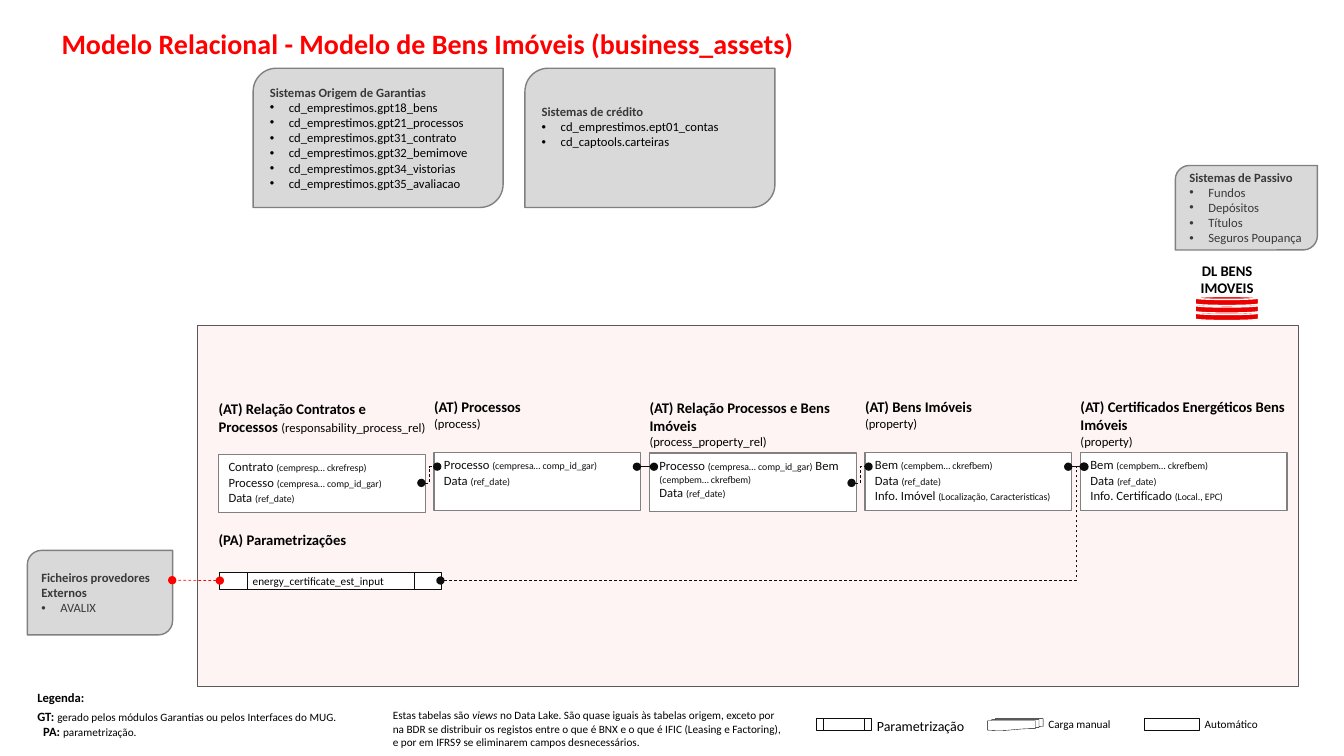
from pptx import Presentation
from pptx.dml.color import RGBColor
from pptx.enum.dml import MSO_LINE
from pptx.enum.shapes import MSO_CONNECTOR, MSO_SHAPE
from pptx.enum.text import MSO_ANCHOR, PP_ALIGN
from pptx.oxml.ns import qn
from pptx.util import Cm, Pt
from lxml import etree

RECT = MSO_SHAPE.RECTANGLE
CARD = MSO_SHAPE.ROUND_2_DIAG_RECTANGLE
PARAM = MSO_SHAPE.FLOWCHART_PREDEFINED_PROCESS
DOCS = MSO_SHAPE.FLOWCHART_MULTIDOCUMENT
DISK = MSO_SHAPE.FLOWCHART_MAGNETIC_DISK
ELBOW, LINE = MSO_CONNECTOR.ELBOW, MSO_CONNECTOR.STRAIGHT
LEFT, CENTER = PP_ALIGN.LEFT, PP_ALIGN.CENTER
TOP, MIDDLE = MSO_ANCHOR.TOP, MSO_ANCHOR.MIDDLE
DASH = MSO_LINE.DASH
FONT = "Calibri"
HUES = {"red": "FF0000", "disk": "EB0000", "pink": "FFC8C8", "white": "FFFFFF",
        "black": "000000", "ink": "0D0D0D", "text": "3B3838", "edge": "595959",
        "gray": "808080", "card": "D9D9D9"}
HUES = {name: RGBColor.from_string(code) for name, code in HUES.items()}

deck = Presentation()
deck.slide_width, deck.slide_height = Cm(33.87), Cm(19.05)
slide = deck.slides.add_slide(deck.slide_layouts[5])
shapes = slide.shapes


def draw(kind, x, y, w, h, fill=None, line="ink", width=0.5):
    """Add a preset shape, or a text box when kind is None."""
    place = Cm(x), Cm(y), Cm(w), Cm(h)
    if kind is None:
        return shapes.add_textbox(*place)
    shape = shapes.add_shape(kind, *place)
    shape.shadow.inherit = False
    if fill:
        shape.fill.solid()
        shape.fill.fore_color.rgb = HUES[fill]
    else:
        shape.fill.background()
    shape.line.color.rgb = HUES[line]
    shape.line.width = Pt(width)
    return shape


def write(shape, paras, hue="black", align=LEFT, anchor=TOP, sides=(0.25, 0.25)):
    """Fill a shape with paragraphs made of (text, size, bold) runs."""
    frame = shape.text_frame
    frame.word_wrap = True
    frame.vertical_anchor = anchor
    frame.margin_left, frame.margin_right = Cm(sides[0]), Cm(sides[1])
    for i, parts in enumerate(paras):
        para = frame.add_paragraph() if i else frame.paragraphs[0]
        para.alignment = align
        for text, size, bold in parts:
            run = para.add_run()
            run.text = text
            run.font.name, run.font.size, run.font.bold = FONT, Pt(size), bold
            run.font.color.rgb = HUES[hue]
    return frame


# Title
title = shapes.title
title.left, title.top, title.width, title.height = Cm(1.3), Cm(0.64), Cm(31.98), Cm(0.84)
head = "Modelo Relacional - Modelo de Bens Imóveis (business_assets)"
frame = write(title, [[(head, 20, True)]], "red")
frame.paragraphs[0].line_spacing = 0.9

# Legend notes
write(draw(None, 0.69, 17.27, 2.26, 0.64), [[("Legenda:", 9, True)]])
frame = write(draw(None, 0.69, 17.73, 8.48, 1.02), [
    [("GT: ", 9, True), ("gerado pelos módulos Garantias ou pelos Interfaces do MUG.", 8, False)],
    [("PA: ", 9, True), ("parametrização.", 8, False)]])
frame.paragraphs[1]._p.get_or_add_pPr().set("marL", str(Cm(0.15)))
frame = write(draw(None, 9.65, 17.73, 10.36, 1.27), [[
    ("Estas tabelas são ", 8, False), ("views", 8, False),
    (" no Data Lake. São quase iguais às tabelas origem, exceto por na BDR se "
     "distribuir os registos entre o que é BNX e o que é IFIC (Leasing e Factoring), "
     "e por em IFRS9 se eliminarem campos desnecessários.", 8, False)]])
frame.paragraphs[0].runs[1].font.italic = True

# Legend keys
for kind, x, fill, line, width, label, size, span in [
        (PARAM, 20.57, "white", "ink", 0.5, "Parametrização", 10, 2.54),
        (DOCS, 24.89, None, "black", 0.25, "Carga manual", 8, 2.31),
        (RECT, 28.83, "white", "ink", 0.5, "Automático", 8, 2.03)]:
    draw(kind, x, 18.11, 1.4, 0.3, fill, line, width)
    write(draw(None, x + 1.43, 17.96, span, 0.61), [[(label, size, False)]], sides=(0.1, 0.1))

# Data lake panel
panel = draw(RECT, 4.98, 8.2, 27.74, 9.09, "pink", "edge")
tint = panel._element.spPr.find(".//" + qn("a:srgbClr"))
etree.SubElement(tint, qn("a:alpha")).set("val", "20000")

# Data lake stack
write(draw(None, 29.82, 6.78, 2.21, 0.51), [[("DL BENS IMOVEIS", 10.5, True)]],
      align=CENTER, anchor=MIDDLE, sides=(0, 0))
for i in range(3):
    draw(DISK, 30.12, 7.85 - 0.19 * i, 1.6, 0.23, "disk", "white", 1)

# Entities: name, table, drop, then fields as plain and small text in turn
LOAN, CASE = "(cempresp… ckrefresp)", "(cempresa… comp_id_gar)"
ASSET, DATE = "(cempbem… ckrefbem)", ("Data ", "(ref_date)")
tables = [
    ("(AT) Relação Contratos e Processos ", "(responsability_process_rel)", 0.05,
     [("Contrato ", LOAN), ("Processo ", CASE), DATE]),
    ("(AT) Processos", "(process)", 0, [("Processo ", CASE), DATE]),
    ("(AT) Relação Processos e Bens Imóveis", "(process_property_rel)", 0.02,
     [("Processo ", CASE, " Bem ", ASSET), DATE]),
    ("(AT) Bens Imóveis", "(property)", 0,
     [("Bem ", ASSET), DATE, ("Info. Imóvel ", "(Localização, Caracteristicas)")]),
    ("(AT) Certificados Energéticos Bens Imóveis", "(property)", 0,
     [("Bem ", ASSET), DATE, ("Info. Certificado ", "(Local., EPC)")])]
for i, (name, table, drop, fields) in enumerate(tables):
    x = 5.51 + 5.43 * i
    box = draw(RECT, x, 11.4 + drop, 5.21, 1.47, "white", "gray", 1)
    write(box, [[(text, (9, 7)[n % 2], False) for n, text in enumerate(field)]
                for field in fields], "ink")
    top, sub = (name, 10.5, True), (table, 9, False)
    write(draw(None, x - 0.25, 9.91 + drop, 5.72, 1.04),
          [[top, sub]] if i == 0 else [[top], [sub]])

# Parameters
write(draw(None, 5.26, 13.26, 5.72, 1.04), [[("(PA) Parametrizações", 10.5, True)]])
draw(PARAM, 5.54, 14.43, 5.59, 0.41, "white")
write(draw(None, 6.12, 14.33, 4.45, 0.61), [[("energy_certificate_est_input", 8, False)]],
      anchor=MIDDLE, sides=(0.25, 0.1))

# Source system cards: place, heading, items, item colour, right and bottom insets
loans = "cd_emprestimos."
files = ["gpt18_bens", "gpt21_processos", "gpt31_contrato", "gpt32_bemimove",
         "gpt34_vistorias", "gpt35_avaliacao"]
for place, name, items, hue, right, low in [
        ((0.69, 13.87, 3.66, 2.13), "Ficheiros provedores Externos", ["AVALIX"],
         "text", 0.25, 0.13),
        ((29.62, 4.17, 3.58, 2.13), "Sistemas de Passivo",
         ["Fundos", "Depósitos", "Títulos", "Seguros Poupança"], "text", 0.1, 0.13),
        ((6.38, 1.72, 6.3, 3.51), "Sistemas Origem de Garantias",
         [loans + file for file in files], "black", 0.25, 0.13),
        ((13.23, 1.72, 6.3, 3.51), "Sistemas de crédito",
         [loans + "ept01_contas", "cd_captools.carteiras"], "black", 0.25, 0.69)]:
    card = draw(CARD, *place, "card", "gray", 1)
    frame = write(card, [[(name, 9, True)]] + [[(item, 9, False)] for item in items],
                  "text", anchor=MIDDLE, sides=(0.25, right))
    frame.margin_bottom = Cm(low)
    for para in frame.paragraphs[1:]:
        props = para._p.get_or_add_pPr()
        props.set("marL", str(Cm(0.48)))
        props.set("indent", str(-Cm(0.48)))
        etree.SubElement(props, qn("a:buFont")).set("typeface", "Arial")
        etree.SubElement(props, qn("a:buChar")).set("char", "•")
        para.runs[0].font.color.rgb = HUES[hue]

# Relations: kind, ends, colour, dashed, bend in thousandths of a percent
for kind, ends, hue, dashed, bend in [
        (ELBOW, (10.62, 12.17, 11.02, 11.76), "ink", True, 50000),
        (ELBOW, (21.46, 12.17, 21.89, 11.76), "ink", True, 50000),
        (LINE, (16.05, 11.76, 16.48, 11.76), "ink", False, None),
        (LINE, (26.92, 11.76, 27.33, 11.76), "ink", False, None),
        (ELBOW, (11.1, 14.63, 27.31, 11.76), "ink", True, 98800),
        (LINE, (5.54, 14.63, 4.34, 14.62), "red", True, None)]:
    link = shapes.add_connector(kind, *[Cm(end) for end in ends])
    link.line.color.rgb = HUES[hue]
    link.line.width = Pt(0.5)
    if dashed:
        link.line.dash_style = DASH
    props = link._element.spPr
    if bend:
        guide = etree.SubElement(props.find(".//" + qn("a:avLst")), qn("a:gd"))
        guide.set("name", "adj1")
        guide.set("fmla", f"val {bend}")
    for tip in ("a:headEnd", "a:tailEnd"):
        etree.SubElement(props.find(qn("a:ln")), qn(tip)).set("type", "oval")
    etree.SubElement(props, qn("a:effectLst"))

deck.save("out.pptx")
